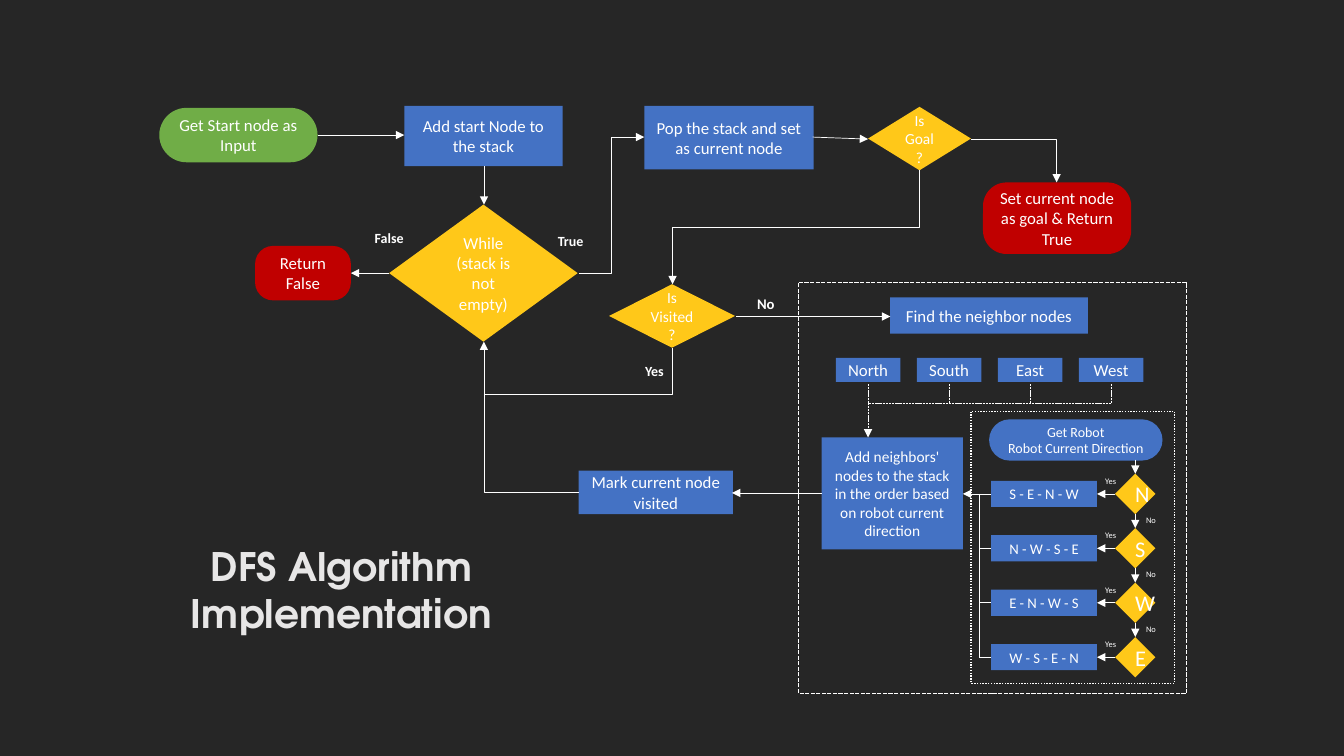
from lxml import etree
from pptx import Presentation
from pptx.dml.color import RGBColor
from pptx.enum.dml import MSO_LINE
from pptx.enum.shapes import MSO_CONNECTOR, MSO_SHAPE
from pptx.enum.text import MSO_ANCHOR, MSO_AUTO_SIZE, PP_ALIGN
from pptx.oxml.ns import qn
from pptx.util import Inches, Pt

BACKGROUND = RGBColor(0x26, 0x26, 0x26)
WHITE = RGBColor(0xFF, 0xFF, 0xFF)
TITLE_GREY = RGBColor(0xE7, 0xE6, 0xE6)
BLUE = RGBColor(0x44, 0x72, 0xC4)
GREEN = RGBColor(0x70, 0xAD, 0x47)
YELLOW = RGBColor(0xFF, 0xC8, 0x19)
RED = RGBColor(0xC0, 0x00, 0x00)
RECTANGLE, ROUNDED, DIAMOND = MSO_SHAPE.RECTANGLE, MSO_SHAPE.ROUNDED_RECTANGLE, MSO_SHAPE.DIAMOND
STRAIGHT, ELBOW = MSO_CONNECTOR.STRAIGHT, MSO_CONNECTOR.ELBOW
DASHED, DOTTED = MSO_LINE.SQUARE_DOT, MSO_LINE.ROUND_DOT
MIDDLE, TOP = MSO_ANCHOR.MIDDLE, MSO_ANCHOR.TOP
CENTER, GROW = PP_ALIGN.CENTER, MSO_AUTO_SIZE.SHAPE_TO_FIT_TEXT


def set_attributes(target, formats):
    """Set every attribute in formats on the target."""
    for name, value in formats.items():
        setattr(target, name, value)


class Flowchart:
    """Draws styled flowchart elements on one slide."""

    body_font = "Calibri"
    title_font = "TeX Gyre Adventor"
    connector_width = Pt(0.5)
    frame_width = Pt(1)

    def __init__(self, slide):
        """Keep the slide and paint its background."""
        self.slide = slide
        slide.background.fill.solid()
        slide.background.fill.fore_color.rgb = BACKGROUND

    def set_text(self, shape, text, size, color=WHITE, font=body_font, bold=False, **frame_formats):
        """Fill a shape with centred paragraphs."""
        frame = shape.text_frame
        frame.text = text
        set_attributes(frame, {"word_wrap": True, "vertical_anchor": MIDDLE, **frame_formats})
        for paragraph in frame.paragraphs:
            paragraph.alignment = CENTER
            for run in paragraph.runs:
                set_attributes(run.font, {"size": Pt(size), "name": font, "bold": bold})
                run.font.color.rgb = color

    def node(self, kind, box, color, text, size=12, corner=None, **frame_formats):
        """Add a filled step with its text."""
        shape = self.slide.shapes.add_shape(kind, *map(Inches, box))
        shape.shadow.inherit = False
        shape.fill.solid()
        shape.fill.fore_color.rgb = color
        shape.line.fill.background()
        if corner:
            shape.adjustments[0] = corner
        self.set_text(shape, text, size, **frame_formats)

    def frame(self, box, dash):
        """Add an unfilled outline around a group of steps."""
        shape = self.slide.shapes.add_shape(RECTANGLE, *map(Inches, box))
        shape.shadow.inherit = False
        shape.fill.background()
        shape.line.color.rgb = WHITE
        set_attributes(shape.line, {"width": self.frame_width, "dash_style": dash})

    def label(self, box, text, size, **formats):
        """Add a free text label."""
        shape = self.slide.shapes.add_textbox(*map(Inches, box))
        self.set_text(shape, text, size, auto_size=GROW, **formats)
        return shape

    def title(self, box, text):
        """Add the title with a soft text shadow."""
        shape = self.label(box, text, 28, color=TITLE_GREY, font=self.title_font,
                           bold=True, vertical_anchor=TOP)
        for fill in shape.element.iter(qn("a:solidFill")):
            effects = etree.Element(qn("a:effectLst"))
            shadow = etree.SubElement(effects, qn("a:outerShdw"), blurRad="38100",
                                      dist="38100", dir="2700000", algn="tl")
            color = etree.SubElement(shadow, qn("a:srgbClr"), val="000000")
            etree.SubElement(color, qn("a:alpha"), val="43000")
            fill.addnext(effects)

    def connect(self, start, end, arrow=True, dash=None, kind=STRAIGHT):
        """Add a connector between two points."""
        connector = self.slide.shapes.add_connector(kind, *map(Inches, (*start, *end)))
        connector.line.color.rgb = WHITE
        set_attributes(connector.line, {"width": self.connector_width, "dash_style": dash})
        properties = connector.element.spPr
        if arrow:
            etree.SubElement(properties.find(qn("a:ln")), qn("a:tailEnd"), type="triangle")
        etree.SubElement(properties, qn("a:effectLst"))
        return properties

    def corner(self, start, end, arrow=True):
        """Add a connector with one turn, sideways first."""
        properties = self.connect(start, end, arrow, kind=ELBOW)
        properties.find(qn("a:prstGeom")).set("prst", "bentConnector2")

    def drop(self, start, end):
        """Add a connector that runs down, left, then down."""
        middle_x, middle_y = (start[0] + end[0]) / 2, (start[1] + end[1]) / 2
        half_width, half_height = (start[0] - end[0]) / 2, (end[1] - start[1]) / 2
        properties = self.connect((middle_x - half_height, middle_y - half_width),
                                  (middle_x + half_height, middle_y + half_width), kind=ELBOW)
        properties.find(qn("a:xfrm")).set("rot", "5400000")


presentation = Presentation()
presentation.slide_width = Inches(13.33)
presentation.slide_height = Inches(7.5)
chart = Flowchart(presentation.slides.add_slide(presentation.slide_layouts[6]))

chart.title((0.34, 5.33, 6.09, 1.04), "DFS Algorithm\nImplementation")

for kind, box, color, text, size, corner in (
    (ROUNDED, (1.58, 1.07, 1.57, 0.54), GREEN, "Get Start node as Input", 12, 0.5),
    (RECTANGLE, (4.01, 1.05, 1.57, 0.6), BLUE, "Add start Node to the stack", 12, None),
    (DIAMOND, (3.86, 2.03, 1.87, 1.36), YELLOW, "While\n(stack is not empty)", 12, None),
    (ROUNDED, (2.53, 2.44, 0.95, 0.54), RED, "Return False", 12, 0.33),
    (RECTANGLE, (6.39, 1.05, 1.68, 0.63), BLUE, "Pop the stack and set as current node", 12, None),
    (DIAMOND, (8.61, 1.06, 1.02, 0.63), YELLOW, "Is Goal?", 11, None),
    (ROUNDED, (9.75, 1.81, 1.47, 0.71), RED, "Set current node as goal & Return True", 12, 0.33),
    (DIAMOND, (6.04, 2.82, 1.25, 0.63), YELLOW, "Is Visited?", 11, None),
    (RECTANGLE, (8.83, 2.95, 1.96, 0.36), BLUE, "Find the neighbor nodes", 12, None),
    (RECTANGLE, (8.15, 4.34, 1.4, 1.11), BLUE,
     "Add neighbors' nodes to the stack in the order based on robot current direction", 11, None),
    (RECTANGLE, (5.74, 4.67, 1.53, 0.43), BLUE, "Mark current node visited", 12, None),
    (ROUNDED, (9.81, 4.16, 1.72, 0.41), BLUE, "Get Robot\nRobot Current Direction", 10, 0.5),
):
    chart.node(kind, box, color, text, size, corner)

for start, end in (
    ((3.15, 1.34), (4.01, 1.34)),
    ((4.8, 1.65), (4.8, 2.03)),
    ((3.86, 2.71), (3.48, 2.71)),
    ((8.06, 1.36), (8.61, 1.38)),
    ((7.3, 3.14), (8.83, 3.14)),
    ((8.15, 4.89), (7.26, 4.89)),
):
    chart.connect(start, end)
chart.connect((5.74, 2.71), (6.39, 1.36), kind=ELBOW)
chart.drop((9.12, 1.69), (6.67, 2.82))
chart.corner((9.63, 1.38), (10.48, 1.81))
chart.corner((5.74, 4.89), (4.8, 3.39))
chart.corner((4.8, 3.91), (6.67, 3.45), arrow=False)

for box, text, size in (
    ((3.56, 2.23, 0.6, 0.27), "False", 10),
    ((5.36, 2.26, 0.6, 0.27), "True", 10),
    ((6.19, 3.54, 0.6, 0.27), "Yes", 10),
    ((7.4, 2.87, 0.39, 0.28), "No", 10.5),
):
    chart.label(box, text, size, bold=True)

BUS_Y, FIRST_X, LAST_X = 4, 8.61, 11.02
for index, direction in enumerate(("North", "South", "East", "West")):
    center_x = FIRST_X + index * (LAST_X - FIRST_X) / 3
    chart.node(RECTANGLE, (center_x - 0.32, 3.55, 0.64, 0.24), BLUE, direction,
               margin_top=0, margin_bottom=0)
    chart.connect((center_x, BUS_Y), (center_x, 3.81), arrow=False, dash=DASHED)
chart.connect((LAST_X, BUS_Y), (FIRST_X, BUS_Y), arrow=False, dash=DASHED)
chart.connect((FIRST_X, BUS_Y), (FIRST_X, 4.34), dash=DASHED)

ROW_TOP, ROW_PITCH, HEADING_X, TRUNK_X = 4.9, 0.54, 11.26, 9.71
headings = {"N": "S - E - N - W", "S": "N - W - S - E", "W": "E - N - W - S", "E": "W - S - E - N"}
for index, (heading, order) in enumerate(headings.items()):
    row_y = ROW_TOP + index * ROW_PITCH
    chart.node(DIAMOND, (HEADING_X - 0.2, row_y - 0.2, 0.4, 0.4), YELLOW, heading, 16)
    chart.node(RECTANGLE, (9.83, row_y - 0.13, 1.05, 0.26), BLUE, order, 10.5)
    chart.connect((HEADING_X, row_y - 0.34), (HEADING_X, row_y - 0.2))
    chart.connect((HEADING_X - 0.2, row_y), (10.88, row_y))
    chart.connect((TRUNK_X, row_y), (9.83, row_y), arrow=False)
    chart.label((10.82, row_y - 0.23, 0.39, 0.2), "Yes", 6)
    if index < len(headings) - 1:
        chart.label((11.22, row_y + 0.16, 0.39, 0.2), "No", 6)
chart.connect((TRUNK_X, ROW_TOP), (TRUNK_X, row_y), arrow=False)
chart.connect((TRUNK_X, ROW_TOP), (9.55, ROW_TOP))

chart.frame((9.63, 4.08, 2.02, 2.7), DOTTED)
chart.frame((7.92, 2.8, 3.85, 4.08), DASHED)

presentation.save("out.pptx")
